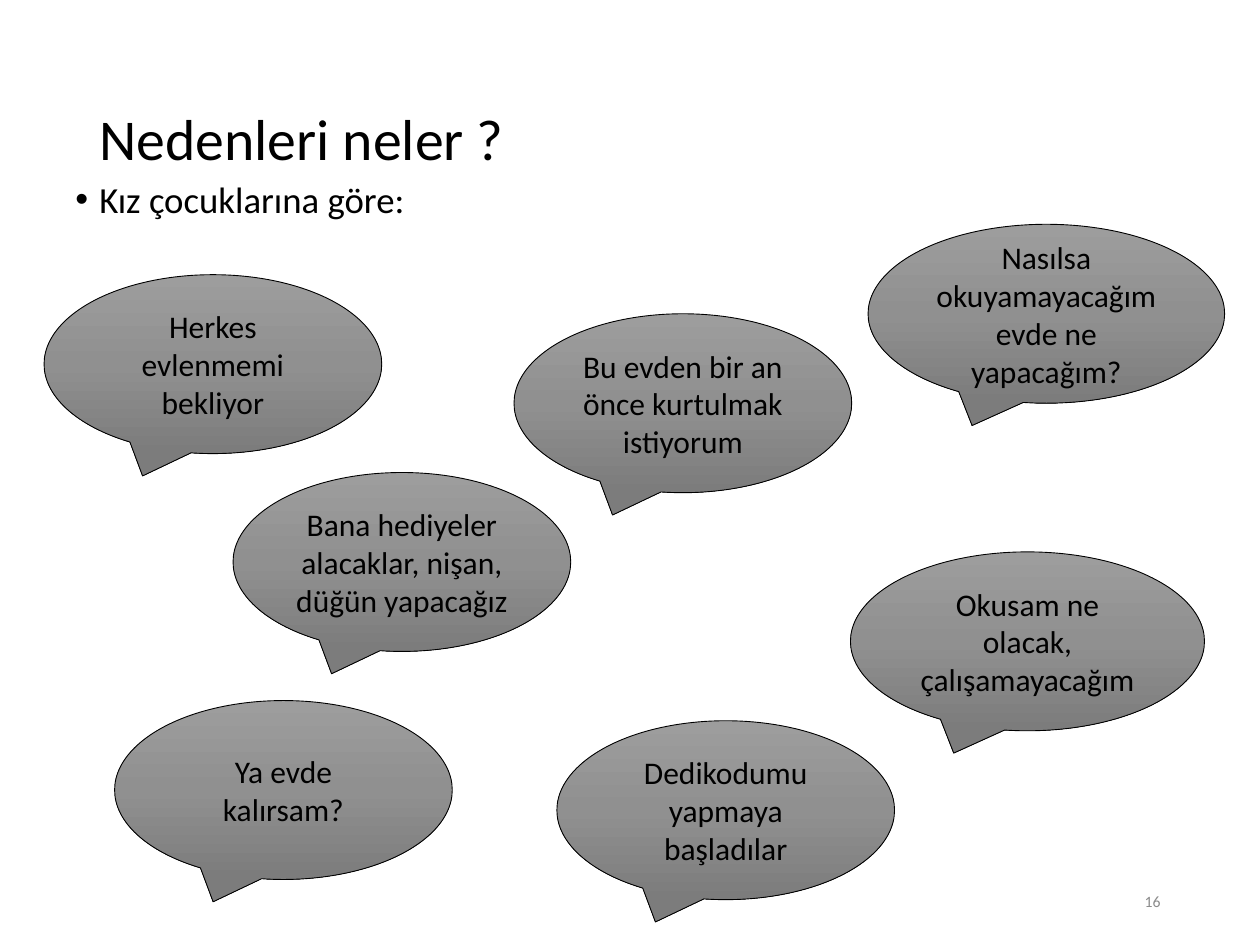
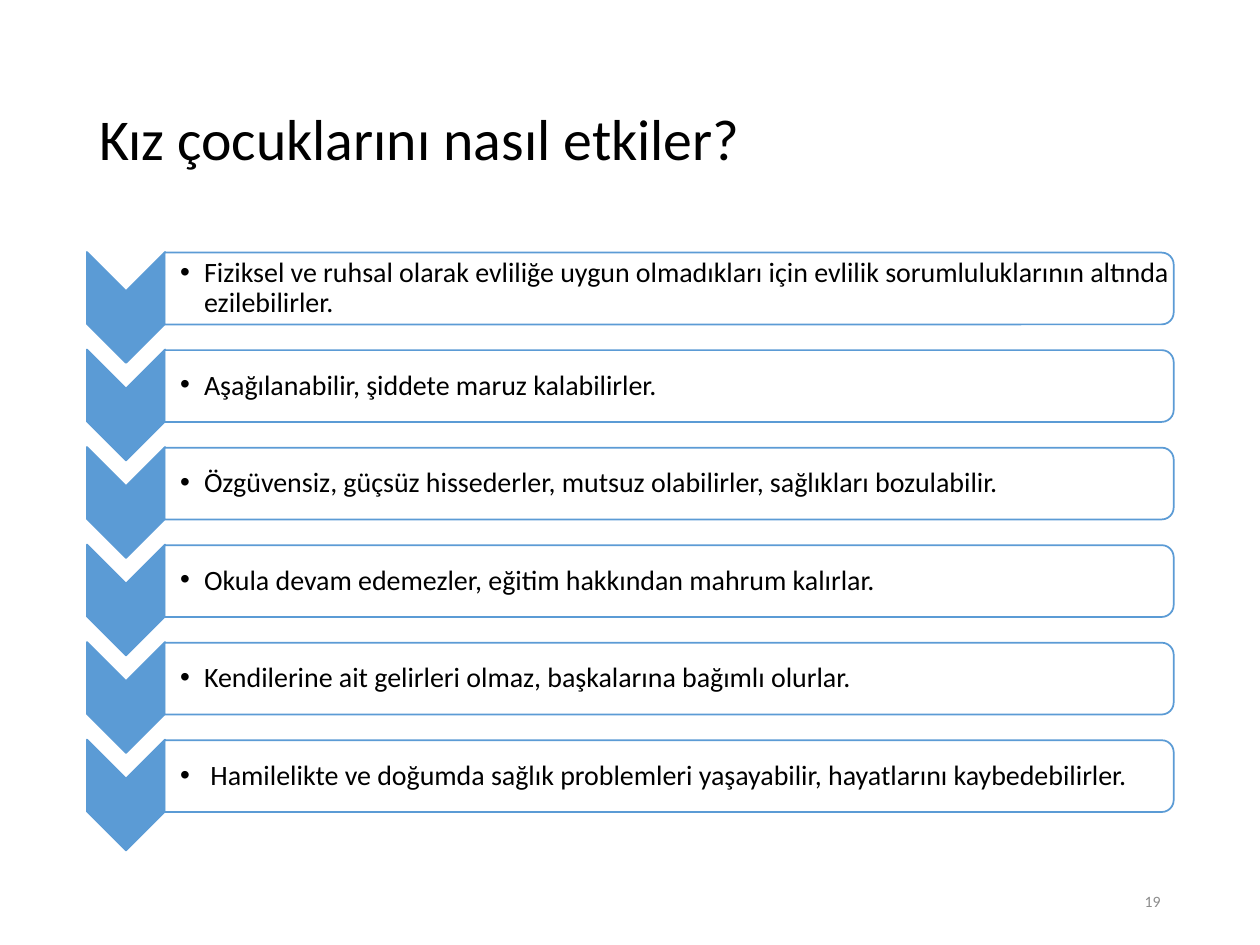
from copy import deepcopy
from dataclasses import dataclass

from lxml import etree
from pptx import Presentation
from pptx.dml.color import RGBColor
from pptx.enum.shapes import MSO_SHAPE
from pptx.enum.text import MSO_ANCHOR, PP_ALIGN
from pptx.oxml.ns import qn
from pptx.util import Inches, Pt

CALLOUT = MSO_SHAPE.OVAL_CALLOUT
CHEVRON = MSO_SHAPE.CHEVRON
ROUNDED_BAR = MSO_SHAPE.ROUND_2_SAME_RECTANGLE
TOP, MIDDLE = MSO_ANCHOR.TOP, MSO_ANCHOR.MIDDLE
LEFT, CENTER, RIGHT = PP_ALIGN.LEFT, PP_ALIGN.CENTER, PP_ALIGN.RIGHT


@dataclass(frozen=True)
class Theme:
    font: str = "Calibri"
    ink: RGBColor = RGBColor(0, 0, 0)
    muted: RGBColor = RGBColor(0x8C, 0x8C, 0x8C)
    paper: RGBColor = RGBColor(0xFF, 0xFF, 0xFF)
    accent: RGBColor = RGBColor(0x5B, 0x9B, 0xD5)
    bubble: tuple = ("9D9D9D", "909090", "7C7C7C")
    title: int = 33
    lead: int = 21
    speech: int = 18
    effect: int = 16
    number: int = 9


THEME = Theme()


def write(shape, text, size, color=THEME.ink, align=LEFT, anchor=MIDDLE,
          spacing=None, bullet=False):
    """Fill a shape with one wrapped paragraph, bulleted with a hanging indent on request."""
    frame = shape.text_frame
    frame.word_wrap = True
    frame.vertical_anchor = anchor
    paragraph = frame.paragraphs[0]
    paragraph.text = text
    paragraph.alignment = align
    paragraph.line_spacing = spacing
    if bullet:
        properties = paragraph._p.get_or_add_pPr()
        properties.set("marL", str(Inches(0.19)))
        properties.set("indent", str(Inches(-0.19)))
        etree.SubElement(properties, qn("a:buFont")).set("typeface", "Arial")
        etree.SubElement(properties, qn("a:buChar")).set("char", "•")
    paragraph.font.name = THEME.font
    paragraph.font.size = Pt(size)
    paragraph.font.color.rgb = color


def add_turned(slide, preset, center_x, center_y, width, height, fill):
    """Add a shape turned a quarter clockwise about its centre."""
    shape = slide.shapes.add_shape(
        preset, Inches(center_x - width / 2), Inches(center_y - height / 2),
        Inches(width), Inches(height))
    shape.rotation = 90
    shape.shadow.inherit = False
    shape.fill.solid()
    shape.fill.fore_color.rgb = fill
    shape.line.color.rgb = THEME.accent
    shape.line.width = Pt(1)
    return shape


prs = Presentation()
prs.slide_width, prs.slide_height = Inches(10), Inches(7.5)
blank = prs.slide_layouts[6]

# Title and page number on each slide
slides = []
for heading, page in (("Nedenleri neler ?", "16"),
                      ("Kız çocuklarını nasıl etkiler?", "19")):
    slide = prs.slides.add_slide(blank)
    title = slide.shapes.add_textbox(Inches(0.69), Inches(0.4), Inches(8.62), Inches(1.45))
    write(title, heading, THEME.title, spacing=0.9)
    page_number = slide.shapes.add_textbox(
        Inches(7.06), Inches(6.95), Inches(2.25), Inches(0.4))
    write(page_number, page, THEME.number, THEME.muted, RIGHT)
    slides.append(slide)
reasons_slide, effects_slide = slides

# Reasons, as the girls put them
lead_in = reasons_slide.shapes.add_textbox(
    Inches(0.5), Inches(1.39), Inches(9), Inches(5.31))
write(lead_in, "Kız çocuklarına göre:", THEME.lead, anchor=TOP, spacing=0.9, bullet=True)

reasons = [
    (0.35, 2.18, 2.68, "Herkes evlenmemi bekliyor"),
    (4.08, 2.49, 2.68, "Bu evden bir an önce kurtulmak istiyorum"),
    (6.89, 1.78, 2.83, "Nasılsa okuyamayacağım evde ne yapacağım?"),
    (0.91, 5.56, 2.68, "Ya evde kalırsam?"),
    (6.75, 4.38, 2.81, "Okusam ne olacak, çalışamayacağım"),
    (1.85, 3.75, 2.68, "Bana hediyeler alacaklar, nişan, düğün yapacağız"),
    (4.42, 5.72, 2.68, "Dedikodumu yapmaya başladılar"),
]
for left, top, width, reason in reasons:
    bubble = reasons_slide.shapes.add_shape(
        CALLOUT, Inches(left), Inches(top), Inches(width), Inches(1.42))
    bubble.shadow.inherit = False
    bubble.fill.gradient()
    bubble.fill.gradient_angle = 270
    stop_list = bubble._element.spPr.find(".//" + qn("a:gsLst"))
    stop_list.append(deepcopy(stop_list[-1]))
    for stop, position, shade in zip(bubble.fill.gradient_stops, (0, 0.5, 1), THEME.bubble):
        stop.position = position
        stop.color.rgb = RGBColor.from_string(shade)
    bubble.line.color.rgb = THEME.ink
    bubble.line.width = Pt(0.5)
    write(bubble, reason, THEME.speech, align=CENTER)

# Effects, one chevron and bar per row
effects = [
    "Fiziksel ve ruhsal olarak evliliğe uygun olmadıkları için evlilik "
    "sorumluluklarının altında ezilebilirler.",
    "Aşağılanabilir, şiddete maruz kalabilirler.",
    "Özgüvensiz, güçsüz hissederler, mutsuz olabilirler, sağlıkları bozulabilir.",
    "Okula devam edemezler, eğitim hakkından mahrum kalırlar.",
    "Kendilerine ait gelirleri olmaz, başkalarına bağımlı olurlar.",
    " Hamilelikte ve doğumda sağlık problemleri yaşayabilir, hayatlarını kaybedebilirler.",
]
first_row, last_row = 2.29, 6.16
row_pitch = (last_row - first_row) / (len(effects) - 1)
for row, effect in enumerate(effects):
    middle = first_row + row * row_pitch
    add_turned(effects_slide, CHEVRON, 1, middle + 0.15, 0.88, 0.62, THEME.accent)
    bar = add_turned(effects_slide, ROUNDED_BAR, 5.31, middle, 0.57, 8.01, THEME.paper)
    bar_color = bar._element.spPr.find(qn("a:solidFill"))[0]
    etree.SubElement(bar_color, qn("a:alpha")).set("val", "90000")

    label = effects_slide.shapes.add_textbox(
        Inches(1.31), Inches(middle - 0.26), Inches(7.98), Inches(0.52))
    frame = label.text_frame
    frame.margin_left = Inches(0.12)
    frame.margin_top = frame.margin_right = frame.margin_bottom = Inches(0.01)
    write(label, effect, THEME.effect, spacing=0.9, bullet=True)

prs.save("out.pptx")
